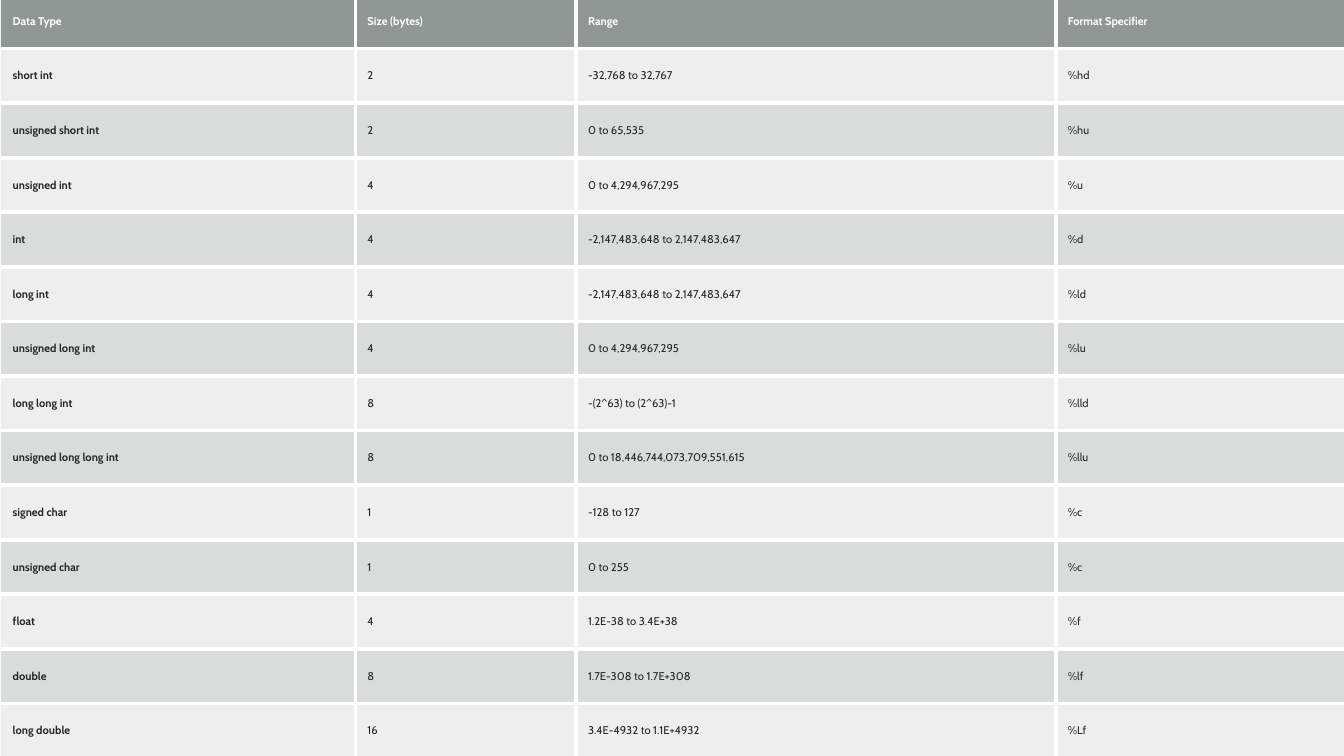
from lxml import etree
from pptx import Presentation
from pptx import util as u
from pptx.dml import color
from pptx.enum import text
from pptx.oxml import ns

HEADINGS = ("Data Type", "Size (bytes)", "Range", "Format Specifier")
DATA_TYPES = [
    ("short int", "2", "-32,768 to 32,767", "%hd"),
    ("unsigned short int", "2", "0 to 65,535", "%hu"),
    ("unsigned int", "4", "0 to 4,294,967,295", "%u"),
    ("int", "4", "-2,147,483,648 to 2,147,483,647", "%d"),
    ("long int", "4", "-2,147,483,648 to 2,147,483,647", "%ld"),
    ("unsigned long int", "4", "0 to 4,294,967,295", "%lu"),
    ("long long int", "8", "-(2^63) to (2^63)-1", "%lld"),
    ("unsigned long long int", "8", "0 to 18,446,744,073,709,551,615", "%llu"),
    ("signed char", "1", "-128 to 127", "%c"),
    ("unsigned char", "1", "0 to 255", "%c"),
    ("float", "4", "1.2E-38 to 3.4E+38", "%f"),
    ("double", "8", "1.7E-308 to 1.7E+308", "%lf"),
    ("long double", "16", "3.4E-4932 to 1.1E+4932", "%Lf"),
]
COLUMN_WIDTHS = (8.94, 5.56, 12.09, 7.29)
TABLE_HEIGHT = 19.25


def rgb(value):
    return color.RGBColor.from_string(value)


def write(frame, words, font="Cabin", size=8, ink="262626", bold=False):
    para = frame.paragraphs[0]
    span = para.add_run()
    span.text = words
    span.font.name = font
    span.font.size = u.Pt(size)
    span.font.bold = bold
    span.font.color.rgb = rgb(ink)


class Sheet:
    header_fill = ("636B68", 70)
    band_fills = (("878E8B", 30), ("878E8B", 15))
    header_ink = "FFFFFF"
    body_ink = "262626"
    border_ink = "FFFFFF"
    border_width = 3

    def __init__(self, page):
        self.page = page

    def fill(self, cell, ink, opacity):
        cell.fill.solid()
        cell.fill.fore_color.rgb = rgb(ink)
        shade = cell.fill._xPr.find(".//" + ns.qn("a:srgbClr"))
        etree.SubElement(shade, ns.qn("a:alpha"), val=str(opacity * 1000))

    def borders(self, cell, visible):
        properties = cell._tc.get_or_add_tcPr()
        for place, side in enumerate("LRTB"):
            line = etree.Element(ns.qn("a:ln" + side))
            if side in visible:
                line.set("w", str(u.Pt(self.border_width)))
                solid = etree.SubElement(line, ns.qn("a:solidFill"))
                etree.SubElement(solid, ns.qn("a:srgbClr"), val=self.border_ink)
            else:
                line.set("w", "0")
                etree.SubElement(line, ns.qn("a:noFill"))
            properties.insert(place, line)

    def cell(self, cell, words, header, bold, fill, visible):
        cell.vertical_anchor = text.MSO_ANCHOR.MIDDLE
        cell.margin_left = u.Cm(0.3)
        cell.margin_right = cell.margin_top = cell.margin_bottom = u.Cm(0.18)
        write(cell.text_frame, words, bold=bold,
              ink=self.header_ink if header else self.body_ink)
        self.fill(cell, *fill)
        self.borders(cell, visible)

    def table(self, rows, left, top, widths, height):
        frame = self.page.shapes.add_table(
            len(rows), len(widths), u.Cm(left), u.Cm(top),
            u.Cm(sum(widths)), u.Cm(height))
        table = frame.table
        table.horz_banding = False
        for column, width in zip(table.columns, widths):
            column.width = u.Cm(width)
        last_row, last_column = len(rows) - 1, len(widths) - 1
        for r, row in enumerate(rows):
            table.rows[r].height = u.Cm(height / len(rows))
            header = r == 0
            fill = self.header_fill if header else self.band_fills[r % 2]
            for c, words in enumerate(row):
                inner = {"L": c > 0, "R": c < last_column,
                         "T": r > 0, "B": r < last_row}
                visible = [side for side, shown in inner.items() if shown]
                self.cell(table.cell(r, c), words, header,
                          header or c == 0, fill, visible)


def main():
    deck = Presentation()
    deck.slide_width, deck.slide_height = u.Cm(33.87), u.Cm(19.05)
    sheet = Sheet(deck.slides.add_slide(deck.slide_layouts[6]))
    sheet.table([HEADINGS, *DATA_TYPES], 0.02, -0.15, COLUMN_WIDTHS, TABLE_HEIGHT)
    deck.save("out.pptx")


if __name__ == "__main__":
    main()
